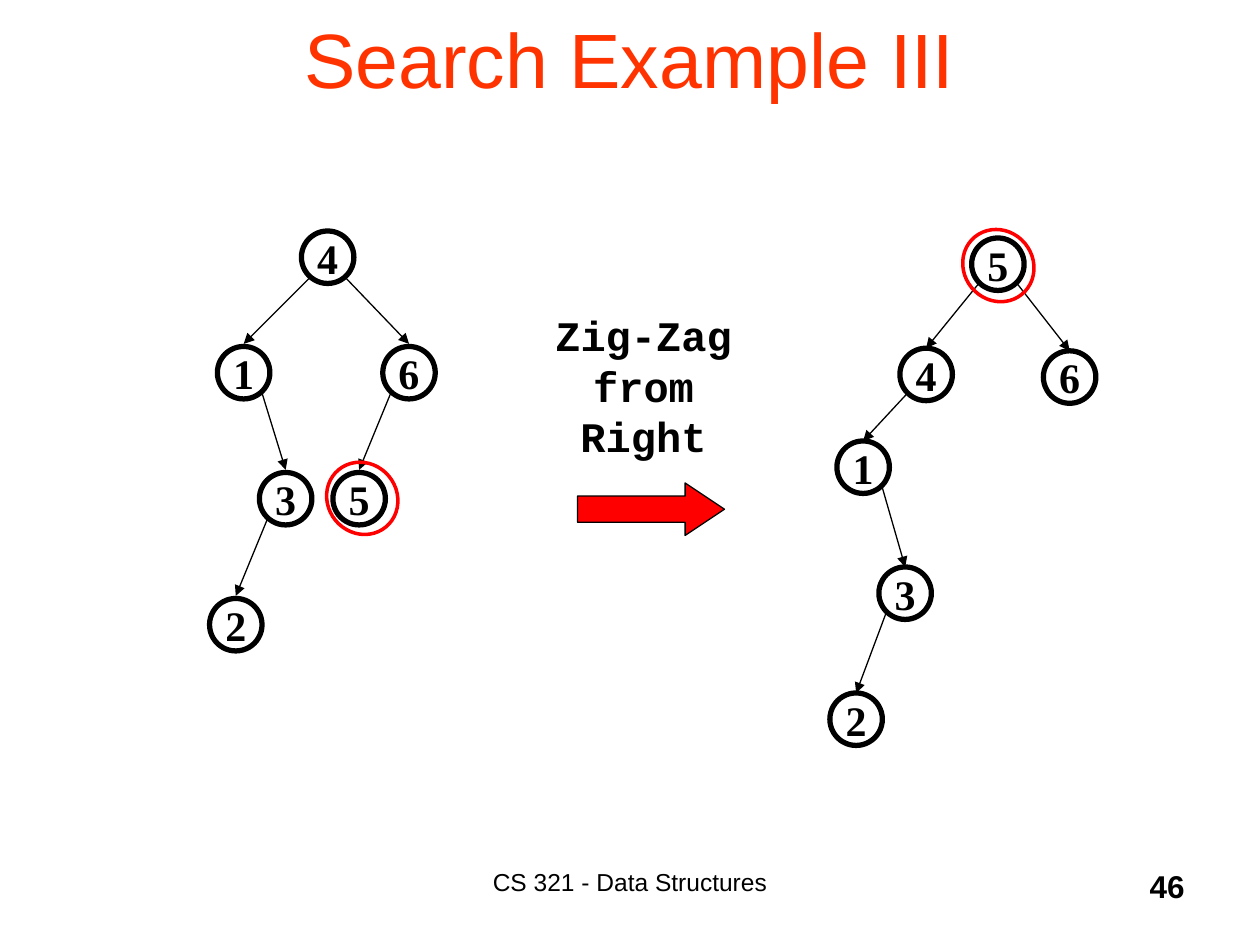
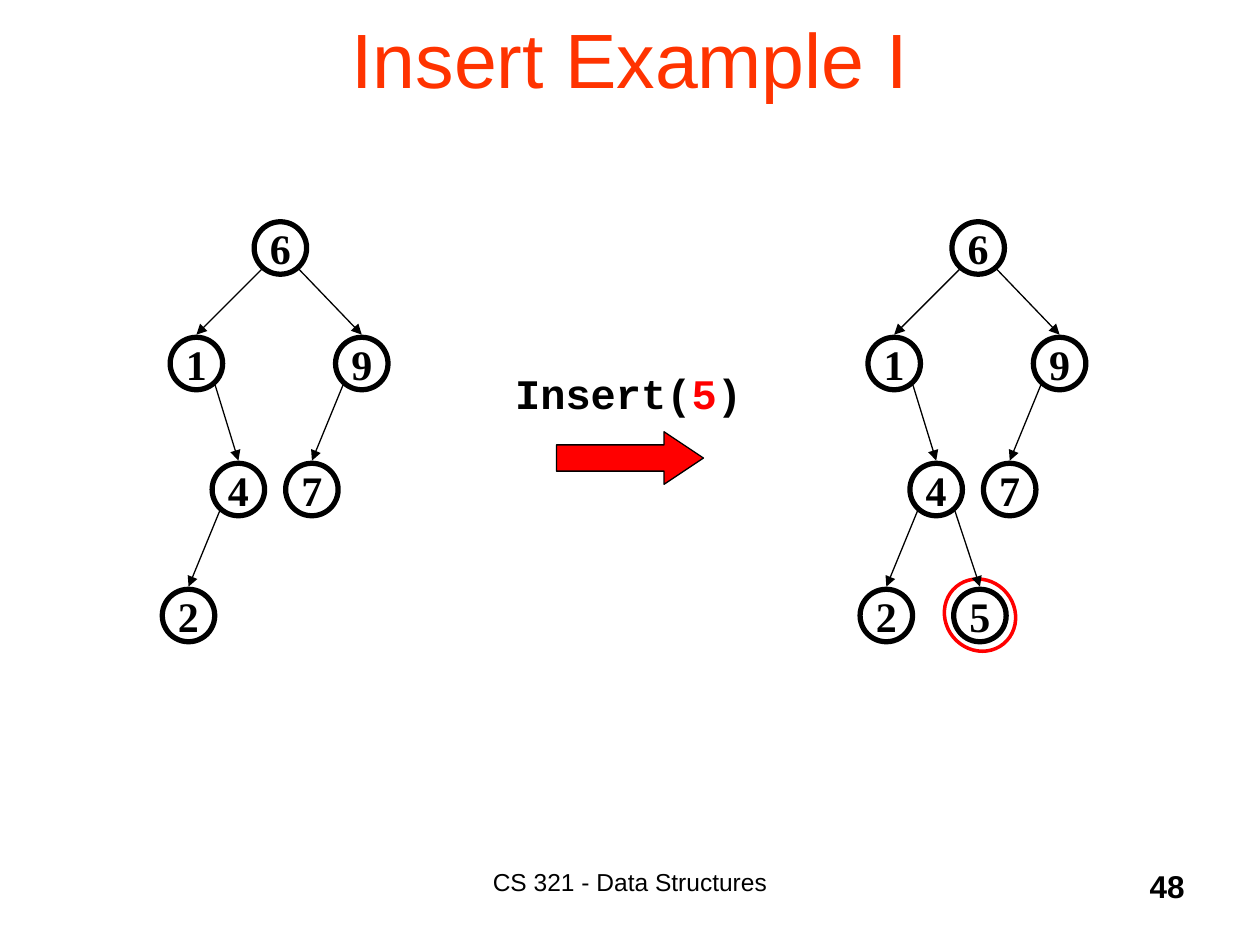
import pptx
import pptx.util
from lxml import etree
from pptx.dml.color import RGBColor
from pptx.enum.shapes import MSO_CONNECTOR, MSO_SHAPE
from pptx.enum.text import MSO_ANCHOR, PP_ALIGN
from pptx.oxml.ns import qn

Pt = pptx.util.Pt
BLACK, RED, TITLE = "000000", "FF0000", "FF3300"
SIZE = 30  # node diameter
REACH = SIZE / 2 * 0.71  # centre to the 45 degree point of a node

# Each node: x and y from the root, and the index of its parent.
BASE = [
    (0, 0, None),
    (-48, 66, 0),
    (46.5, 66, 0),
    (-24, 138, 1),
    (18, 138, 2),
    (-52.5, 210, 3),
]
GROWN = BASE + [(1, 210, 3)]
SPLAYED = [
    (0, 0, None),
    (-41, 63, 0),
    (41, 64.5, 0),
    (-77, 116, 1),
    (-53, 188, 3),
    (-81, 260, 4),
]


def color(code):
    return RGBColor.from_string(code)


def style(frame, font, size, code=BLACK, bold=False, align=PP_ALIGN.CENTER):
    """Format every run of a text frame alike."""
    for para in frame.paragraphs:
        para.alignment = align
        for run in para.runs:
            run.font.name, run.font.size = font, Pt(size)
            run.font.bold = bold
            run.font.color.rgb = color(code)


def box(slide, words, x, y, wide, high):
    frame = slide.shapes.add_textbox(Pt(x), Pt(y), Pt(wide), Pt(high)).text_frame
    frame.word_wrap = True
    frame.text = words
    return frame


def shape(shapes, kind, x, y, wide, high, line, width, fill=None):
    item = shapes.add_shape(kind, Pt(x), Pt(y), Pt(wide), Pt(high))
    item.shadow.inherit = False
    item.line.color.rgb, item.line.width = color(line), Pt(width)
    if fill:
        item.fill.solid()
        item.fill.fore_color.rgb = color(fill)
    else:
        item.fill.background()
    return item


def node(shapes, label, x, y):
    """Draw a labelled circle centred on x, y."""
    item = shape(shapes, MSO_SHAPE.OVAL, x - SIZE / 2, y - SIZE / 2,
                 SIZE, SIZE, BLACK, 3)
    frame = item.text_frame
    frame.word_wrap = False
    frame.vertical_anchor = MSO_ANCHOR.MIDDLE
    frame.text = label
    style(frame, "Times New Roman", 24, bold=True)


def edge(shapes, start, end, gap):
    """Point from one node centre to the top of its child."""
    (x, y), (kid_x, kid_y) = start, end
    side = 1 if kid_x > x else -1
    link = shapes.add_connector(
        MSO_CONNECTOR.STRAIGHT,
        Pt(x + side * REACH), Pt(y + REACH + gap),
        Pt(kid_x), Pt(kid_y - SIZE / 2 - gap))
    link.line.color.rgb, link.line.width = color(BLACK), Pt(0.75)
    etree.SubElement(link.line._get_or_add_ln(), qn("a:tailEnd"), type="triangle")
    etree.SubElement(link._element.spPr, qn("a:effectLst"))


def tree(slide, labels, plan, x, y, gap=1.5):
    shapes = slide.shapes.add_group_shape().shapes
    spots = [(x + dx, y + dy) for dx, dy, _ in plan]
    for spot, (_, _, top) in zip(spots, plan):
        if top is not None:
            edge(shapes, spots[top], spot, gap)
    for label, spot in zip(labels, spots):
        node(shapes, label, *spot)


def ring(slide, x, y):
    """Mark the node centred on x, y."""
    item = shape(slide.shapes, MSO_SHAPE.OVAL, x - 19.8, y - 21.2,
                 39.6, 42.4, RED, 2)
    item.rotation = 320.5


def arrow(slide, x, y):
    item = shape(slide.shapes, MSO_SHAPE.RIGHT_ARROW, x, y, 84, 30,
                 BLACK, 0.75, RED)
    item.adjustments[1] = 0.75


def page(deck, title, number):
    """Add a slide with its title and footers."""
    slide = deck.slides.add_slide(deck.slide_layouts[6])
    head = box(slide, title, 54, -12, 612, 90)
    head.vertical_anchor = MSO_ANCHOR.MIDDLE
    style(head, "Arial", 44, TITLE)
    style(box(slide, "CS 321 - Data Structures", 222, 492, 276, 36), "Arial", 14)
    style(box(slide, number, 534, 492, 150, 36), "Arial", 18,
          bold=True, align=PP_ALIGN.RIGHT)
    return slide


def search(deck):
    slide = page(deck, "Search Example III", "46")
    step = box(slide, "Zig-Zag from Right", 300, 173.5, 135.5, 94.5)
    style(step, "Courier New", 24, bold=True)
    arrow(slide, 330, 276)
    tree(slide, "416352", BASE, 187.25, 147)
    ring(slide, 207, 284.75)
    tree(slide, "546132", SPLAYED, 570.25, 151, gap=0)
    ring(slide, 570.5, 151.75)


def insert(deck):
    slide = page(deck, "Insert Example I", "48")
    arrow(slide, 318, 246.75)
    ring(slide, 560, 351.5)
    call = box(slide, "Insert(", 287.25, 206.75, 145.5, 36)
    call.word_wrap = False
    for part in "5)":
        call.paragraphs[0].add_run().text = part
    style(call, "Courier New", 24, bold=True, align=PP_ALIGN.LEFT)
    call.paragraphs[0].runs[1].font.color.rgb = color(RED)
    tree(slide, "619472", BASE, 160.25, 141.75)
    tree(slide, "6194725", GROWN, 559, 141.75)


def main():
    deck = pptx.Presentation()
    deck.slide_width, deck.slide_height = Pt(720), Pt(540)
    search(deck)
    insert(deck)
    deck.save("out.pptx")


if __name__ == "__main__":
    main()
